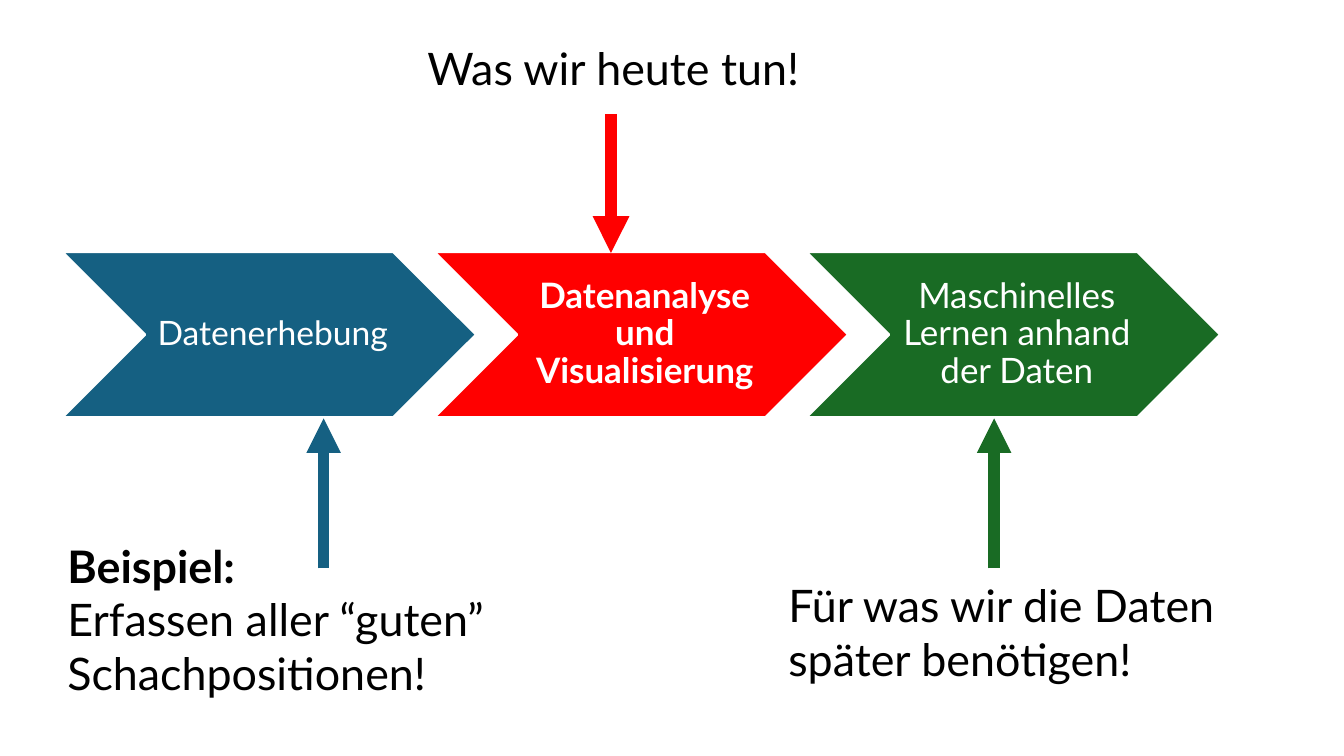
from dataclasses import dataclass
from lxml import etree
from pptx import Presentation, util as u
from pptx.dml.color import RGBColor
from pptx.enum import shapes, text
from pptx.oxml.ns import qn


@dataclass(frozen=True)
class Theme:
    font: str = "Lato"
    blue: str = "156082"
    red: str = "FF0000"
    green: str = "196B24"
    white: str = "FFFFFF"
    black: str = "000000"
    small: int = 24
    step: int = 25
    note: int = 32


T = Theme()
WIDE, HIGH = 13.33, 7.5
# Process row: each step starts 90 % of a step's width after the last
LEFT, TOP, STEP, TALL = 0.62, 2.5, 4.1, 1.64
PITCH = 0.9 * STEP

# label, colour, size, bold
STEPS = [
    ("Datenerhebung", T.blue, T.small, False),
    ("Datenanalyse und Visualisierung", T.red, T.step, True),
    ("Maschinelles Lernen anhand der Daten", T.green, T.step, False),
]
# box, bold lead, wording
NOTES = [
    ((0.57, 5.29, 4.43, 1.72), "Beispiel:", "Erfassen aller “guten” Schachpositionen!"),
    ((4.14, 0.35, 6.57, 0.64), "", "Was wir heute tun!"),
    ((7.72, 5.68, 5.41, 1.18), "", "Für was wir die Daten später benötigen!"),
]
# offset from its step's left, start, end, width
ARROWS = [
    (2.59, 5.64, 4.15, 8.25),
    (1.75, 1.13, 2.51, 8.75),
    (1.86, 5.64, 4.15, 8.25),
]


def rgb(code):
    return RGBColor.from_string(code)


def style(par, size, color, bold=None):
    par.font.name, par.font.size = T.font, u.Pt(size)
    par.font.color.rgb, par.font.bold = rgb(color), bold


def step(slide, box, label, color, size, bold):
    """Chevron with its label."""
    shape = slide.shapes.add_shape(shapes.MSO_SHAPE.CHEVRON, *map(u.Inches, box))
    shape.shadow.inherit = False
    shape.fill.solid()
    shape.fill.fore_color.rgb = rgb(color)
    shape.line.color.rgb = rgb(T.white)
    shape.line.width = u.Pt(1.5)
    frame = shape.text_frame
    frame.word_wrap = True
    frame.vertical_anchor = text.MSO_ANCHOR.MIDDLE
    frame.margin_left = u.Inches(0.11)
    frame.margin_top = frame.margin_right = frame.margin_bottom = u.Inches(0.04)
    par = frame.paragraphs[0]
    par.text = label
    par.alignment = text.PP_ALIGN.CENTER
    par.line_spacing = 0.9
    style(par, size, T.white, bold)


def note(slide, box, lead, words):
    """Free text beside an arrow, with an optional bold first line."""
    frame = slide.shapes.add_textbox(*map(u.Inches, box)).text_frame
    frame.word_wrap = True
    frame.auto_size = text.MSO_AUTO_SIZE.SHAPE_TO_FIT_TEXT
    par = frame.paragraphs[0]
    style(par, T.note, T.black)
    if lead:
        run = par.add_run()
        run.text, run.font.bold = lead, True
        par.add_line_break()
    par.add_run().text = words


def arrow(slide, x, start, end, width, color):
    """Upright arrow between a note and its step."""
    line = slide.shapes.add_connector(
        shapes.MSO_CONNECTOR.STRAIGHT, *map(u.Inches, (x, start, x, end)))
    line.line.color.rgb = rgb(color)
    line.line.width = u.Pt(width)
    props = line._element.spPr
    etree.SubElement(props.find(qn("a:ln")), qn("a:tailEnd"), type="triangle")
    etree.SubElement(props, qn("a:effectLst"))


def process(slide):
    """Row of steps, then the notes and the arrows that tie them."""
    lefts = [LEFT + i * PITCH for i in range(len(STEPS))]
    for left, item in zip(lefts, STEPS):
        step(slide, (left, TOP, STEP, TALL), *item)
    for left, item, words, (shift, start, end, width) in zip(lefts, STEPS, NOTES, ARROWS):
        note(slide, *words)
        arrow(slide, left + shift, start, end, width, item[1])


def main():
    deck = Presentation()
    deck.slide_width, deck.slide_height = u.Inches(WIDE), u.Inches(HIGH)
    process(deck.slides.add_slide(deck.slide_layouts[6]))
    deck.save("out.pptx")


if __name__ == "__main__":
    main()
